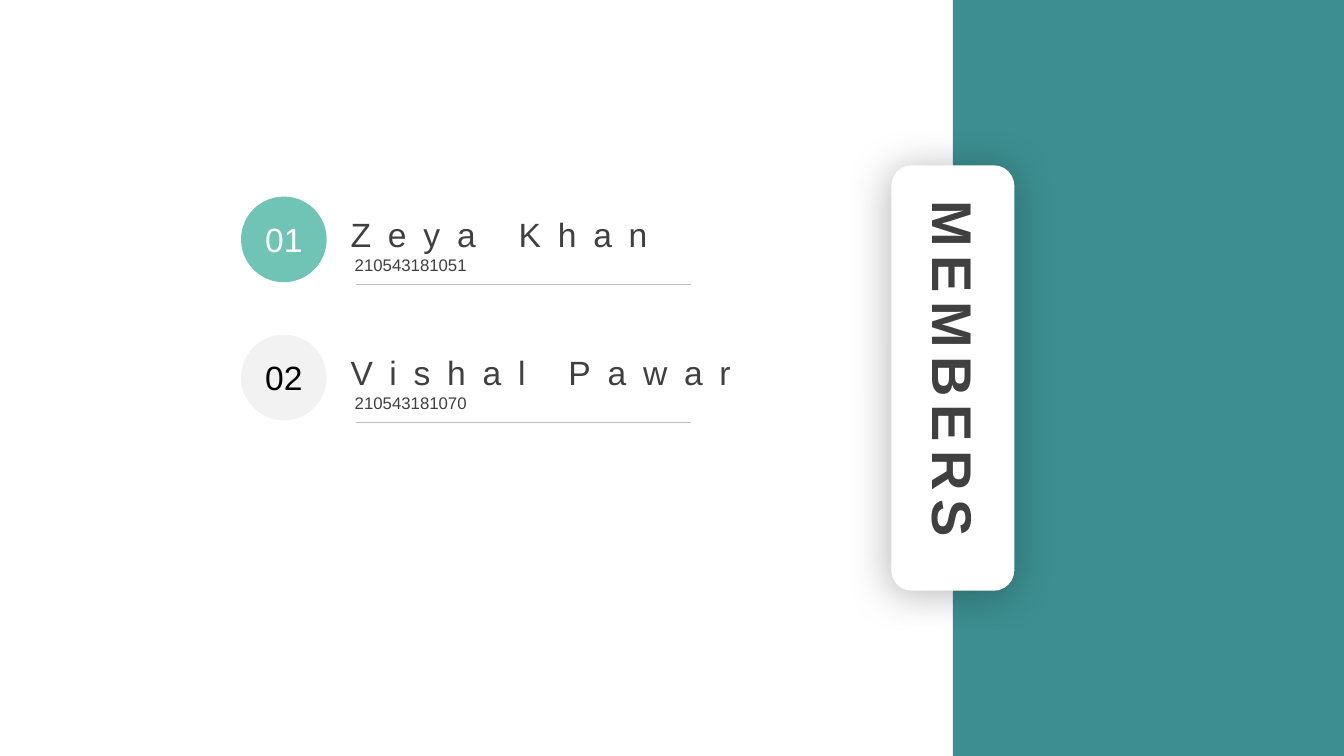
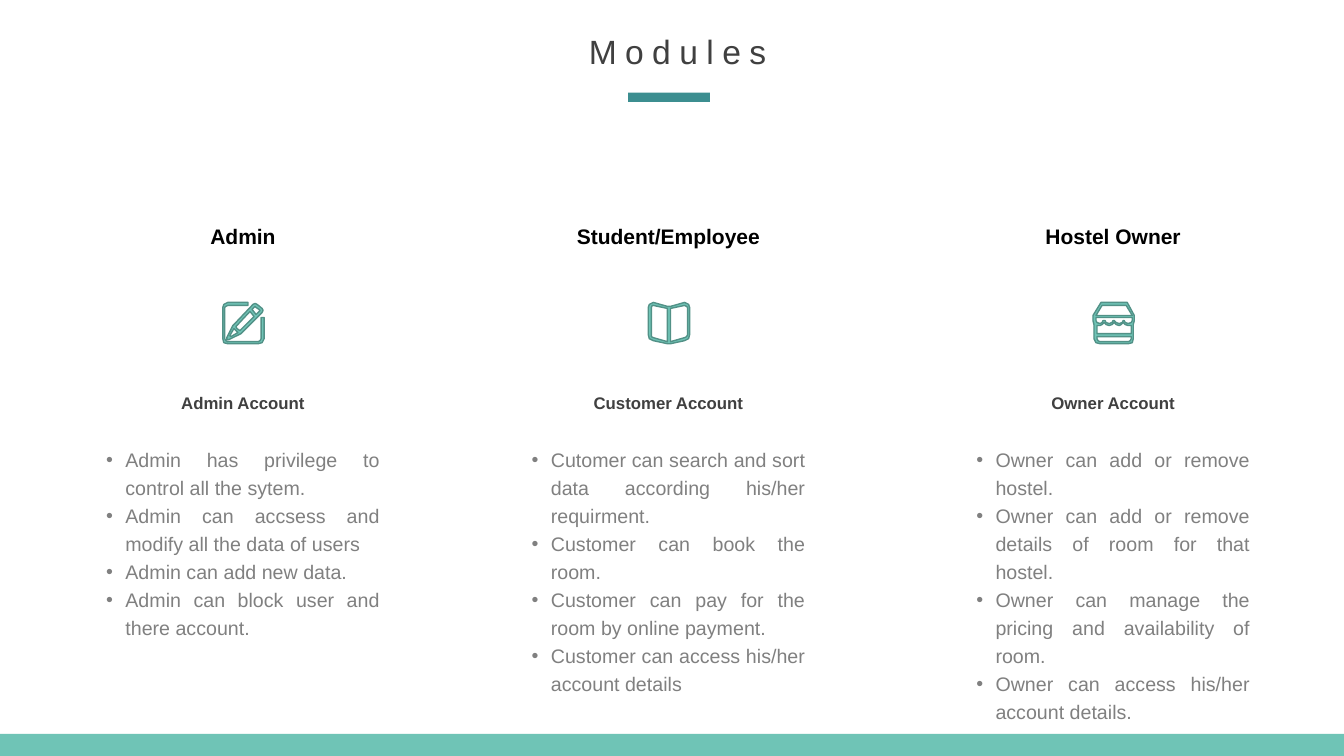
from lxml import etree
from pptx import Presentation
from pptx.dml.color import RGBColor
from pptx.enum.shapes import MSO_CONNECTOR, MSO_SHAPE
from pptx.enum.text import MSO_ANCHOR, PP_ALIGN
from pptx.oxml.ns import qn
from pptx.util import Inches, Pt

RECT, ROUND, OVAL = MSO_SHAPE.RECTANGLE, MSO_SHAPE.ROUNDED_RECTANGLE, MSO_SHAPE.OVAL
STRAIGHT = MSO_CONNECTOR.STRAIGHT
LEFT, MID, FULL = PP_ALIGN.LEFT, PP_ALIGN.CENTER, PP_ALIGN.JUSTIFY
MIDDLE = MSO_ANCHOR.MIDDLE

TEAL = RGBColor(0x3C, 0x8E, 0x90)
MINT = RGBColor(0x6F, 0xC4, 0xB6)
EDGE = RGBColor(0x52, 0x91, 0x87)
WHITE = RGBColor(0xFF, 0xFF, 0xFF)
BLACK = RGBColor(0, 0, 0)
DARK = RGBColor(0x40, 0x40, 0x40)
GREY = RGBColor(0x80, 0x80, 0x80)
RULE = RGBColor(0xBF, 0xBF, 0xBF)
PALE = RGBColor(0xF2, 0xF2, 0xF2)
FONT = "Arial"
WIDE, HIGH = 13.33, 7.5

# Icon outlines: closed contours in hundredths of an inch
PENCIL = [
    [(38, 15), (38, 36), (37, 38), (35, 39), (5, 39), (3, 38), (2, 36), (2, 5),
     (3, 4), (5, 3), (25, 3), (25, 0), (5, 0), (1, 2), (0, 5), (0, 36),
     (1, 40), (5, 41), (35, 41), (39, 40), (41, 36), (41, 15)],
    [(10, 23), (4, 35), (4, 37), (6, 37), (18, 31), (19, 30), (39, 10),
     (40, 8), (39, 6), (34, 2), (32, 1), (30, 2), (11, 22)],
    [(31, 5), (32, 4), (33, 5), (36, 7), (37, 8), (36, 9), (33, 12), (29, 7)],
    [(27, 9), (31, 14), (17, 28), (14, 26), (13, 24)],
    [(15, 30), (8, 34), (7, 33), (11, 26)],
]
BOOK = [
    [(36, 0), (22, 4), (19, 4), (5, 0), (1, 2), (0, 5), (0, 32), (1, 36),
     (5, 38), (19, 41), (22, 41), (36, 38), (40, 36), (41, 32), (41, 5), (40, 2)],
    [(19, 39), (5, 35), (3, 34), (3, 5), (4, 3), (5, 3), (19, 6)],
    [(22, 39), (36, 35), (38, 34), (39, 32), (39, 5), (38, 4), (36, 3), (22, 6)],
]
SHOP = [
    [(34, 0), (8, 0), (0, 13), (0, 18), (1, 22), (1, 36), (3, 40), (7, 41),
     (35, 41), (39, 40), (40, 36), (40, 22), (41, 18), (41, 13)],
    [(38, 36), (37, 38), (35, 39), (7, 39), (5, 38), (4, 36), (4, 34), (38, 34)],
    [(38, 31), (4, 31), (4, 23), (7, 23), (9, 22), (11, 20), (13, 22), (16, 23),
     (19, 22), (21, 20), (23, 22), (26, 23), (28, 22), (30, 20), (32, 22),
     (35, 23), (38, 23)],
    [(39, 18), (38, 20), (35, 21), (32, 20), (31, 18), (30, 18), (29, 20),
     (26, 21), (23, 20), (21, 18), (20, 18), (19, 20), (16, 21), (13, 20),
     (12, 18), (10, 18), (9, 20), (7, 21), (4, 20), (3, 18), (3, 15), (39, 15)],
    [(3, 13), (9, 3), (33, 3), (39, 13)],
]

MEMBERS = [
    ("01", "Zeya Khan", "210543181051", MINT, WHITE),
    ("02", "Vishal Pawar", "210543181070", PALE, BLACK),
]
# Centre, role, icon, account, height of the list, duties
MODULES = [
    (2.41, "Admin", PENCIL, "Admin Account", 2.34, [
        "Admin has privilege to control all the sytem.",
        "Admin can accsess and modify all the data of users",
        "Admin can add new data.",
        "Admin can block user and there account."]),
    (6.63, "Student/Employee", BOOK, "Customer Account", 2.62, [
        "Cutomer can search and sort data according his/her requirment.",
        "Customer can book the room.",
        "Customer can pay for the room by online payment.",
        "Customer can access his/her account details"]),
    (11.04, "Hostel Owner", SHOP, "Owner Account", 3.19, [
        "Owner can add or remove hostel.",
        "Owner can add or remove details of room for that hostel.",
        "Owner can manage the pricing and availability of room.",
        "Owner can access his/her account details."]),
]


def write(frame, lines, size=12, color=DARK, bold=False, align=LEFT,
          space=None, track=0, dots=False):
    """Fill a frame, one paragraph for each line; track is in points."""
    if isinstance(lines, str):
        lines = [lines]
    for i, line in enumerate(lines):
        para = frame.add_paragraph() if i else frame.paragraphs[0]
        para.alignment = align
        if space:
            para.line_spacing = space
        if dots:
            props = para._p.get_or_add_pPr()
            props.set("marL", str(Inches(0.19)))
            props.set("indent", str(-Inches(0.19)))
            etree.SubElement(props, qn("a:buFont"), typeface=FONT)
            etree.SubElement(props, qn("a:buChar"), char="•")
        run = para.add_run()
        run.text = line
        font = run.font
        font.name, font.size, font.bold = FONT, Pt(size), bold
        font.color.rgb = color
        if track:
            run._r.get_or_add_rPr().set("spc", str(track * 100))


class Deck:
    def __init__(self):
        self.prs = Presentation()
        self.prs.slide_width = Inches(WIDE)
        self.prs.slide_height = Inches(HIGH)

    def page(self):
        slide = self.prs.slides.add_slide(self.prs.slide_layouts[6])
        self.shapes = slide.shapes

    def shape(self, kind, x, y, w, h, fill):
        item = self.shapes.add_shape(kind, Inches(x), Inches(y), Inches(w), Inches(h))
        item.shadow.inherit = False
        item.fill.solid()
        item.fill.fore_color.rgb = fill
        item.line.fill.background()
        return item

    def text(self, x, y, w, h, lines, wrap=True, **form):
        box = self.shapes.add_textbox(Inches(x), Inches(y), Inches(w), Inches(h))
        box.text_frame.word_wrap = wrap
        write(box.text_frame, lines, **form)
        return box

    def badge(self, x, y, size, label, fill, ink):
        frame = self.shape(OVAL, x, y, size, size, fill).text_frame
        frame.word_wrap = False
        frame.vertical_anchor = MIDDLE
        write(frame, label, size=24, color=ink, align=MID)

    def rule(self, x, y, w):
        line = self.shapes.add_connector(
            STRAIGHT, Inches(x), Inches(y), Inches(x + w), Inches(y))
        line.line.color.rgb = RULE
        line.line.width = Pt(0.25)
        etree.SubElement(line._element.spPr, qn("a:effectLst"))

    def card(self, x, y, w, h):
        """Rounded white card with a soft shadow that falls downwards."""
        item = self.shape(ROUND, x, y, w, h, WHITE)
        cast = etree.SubElement(
            item._element.spPr.find(qn("a:effectLst")), qn("a:outerShdw"),
            blurRad=str(Pt(29)), dist=str(Pt(3)), dir="8100000",
            sy="106000", algn="t", rotWithShape="0")
        tint = etree.SubElement(cast, qn("a:srgbClr"), val=str(BLACK))
        etree.SubElement(tint, qn("a:alpha"), val="27000")

    def icon(self, x, y, parts):
        start = parts[0][0]
        pen = self.shapes.build_freeform(*start, scale=Inches(0.01))
        for i, part in enumerate(parts):
            if i:
                pen.move_to(*part[0])
            pen.add_line_segments(part[1:], close=True)
        item = pen.convert_to_shape(Inches(x), Inches(y))
        item.shadow.inherit = False
        item.fill.solid()
        item.fill.fore_color.rgb = MINT
        item.line.color.rgb = EDGE
        item.line.width = Pt(1)

    def mid(self, center, y, w, h, lines, **form):
        """Text box centred on a column."""
        self.text(center - w / 2, y, w, h, lines, **form)


def members(deck):
    deck.page()
    deck.shape(RECT, 9.45, 0, 3.88, HIGH, TEAL)
    deck.card(8.84, 1.64, 1.22, 4.22)
    title = deck.text(8.98, 1.89, 0.87, 3.85, "MEMBERS", size=40, bold=True,
                      align=MID, track=6)
    title.text_frame._txBody.bodyPr.set("vert", "eaVert")
    for i, (label, name, code, fill, ink) in enumerate(MEMBERS):
        top = 1.95 + 1.37 * i
        deck.badge(2.39, top, 0.85, label, fill, ink)
        deck.text(3.38, top + 0.04, 4.39, 0.47, name, size=24, space=1.2, track=12)
        deck.text(3.42, top + 0.53, 4.36, 0.3, code, align=FULL)
        deck.rule(3.53, top + 0.87, 3.32)


def modules(deck):
    deck.page()
    deck.shape(RECT, 0, 7.28, WIDE, 0.22, MINT)
    deck.shape(RECT, 6.23, 0.92, 0.81, 0.09, TEAL)
    deck.text(5.7, 0.26, 2.04, 0.5, "Modules", wrap=False, size=24,
              align=MID, track=6)
    for center, role, parts, account, tall, duties in MODULES:
        deck.mid(center, 2.04, 2.14, 0.48, role, size=15, color=BLACK,
                 bold=True, align=MID, space=1.5)
        deck.icon(center - 0.2, 3, parts)
        deck.mid(center, 3.85, 2.07, 0.3, account, bold=True, align=MID)
        deck.mid(center, 4.35, 2.91, tall, duties, size=14, color=GREY,
                 align=FULL, space=Pt(20), dots=True)


def main():
    deck = Deck()
    members(deck)
    modules(deck)
    deck.prs.save("out.pptx")


if __name__ == "__main__":
    main()
